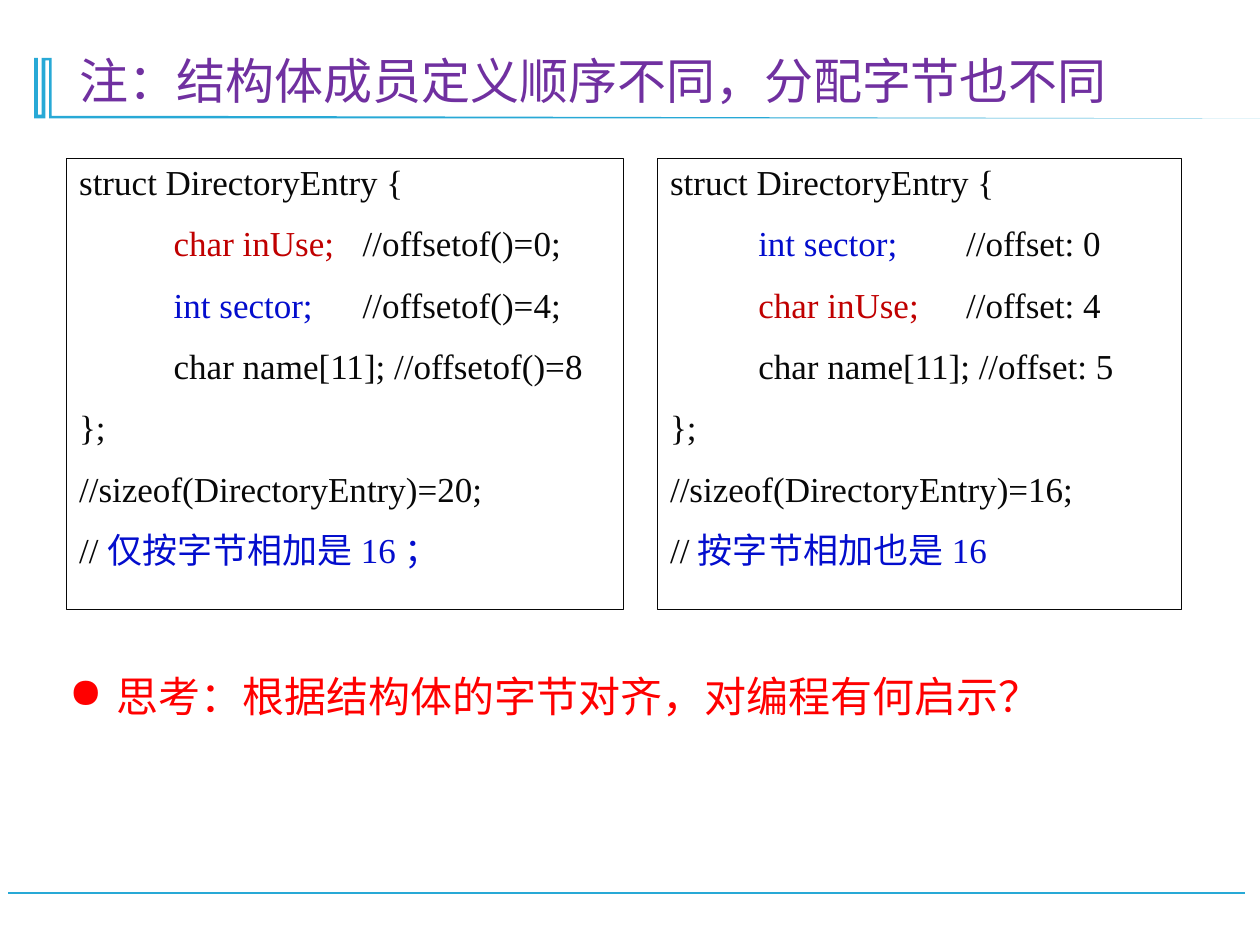
from lxml import etree
from pptx import Presentation
from pptx.dml.color import RGBColor
from pptx.enum.shapes import MSO_CONNECTOR, MSO_SHAPE
from pptx.enum.text import MSO_ANCHOR, PP_ALIGN
from pptx.oxml.ns import qn
from pptx.util import Inches, Pt

CYAN = RGBColor(0x28, 0xA9, 0xD6)
PURPLE = RGBColor(0x70, 0x30, 0xA0)
INK = RGBColor(0x08, 0x08, 0x08)
BLUE = RGBColor(0x03, 0x0D, 0xCD)
CRIMSON = RGBColor(0xC0, 0x00, 0x00)
RED = RGBColor(0xFF, 0x00, 0x00)
FONT = "Times New Roman"

# Each code line is a list of (text, colour) runs.
STRUCT_CHAR_FIRST = [
    [("struct DirectoryEntry {", INK)],
    [("\tchar inUse;", CRIMSON), ("\t//offsetof()=0;", INK)],
    [("\tint sector;", BLUE), ("\t//offsetof()=4;", INK)],
    [("\tchar name[11]; //offsetof()=8", INK)],
    [("};", INK)],
    [("//sizeof(DirectoryEntry)=20;", INK)],
    [("//", INK), ("仅按字节相加是16；", BLUE)],
]
STRUCT_INT_FIRST = [
    [("struct DirectoryEntry {", INK)],
    [("\tint sector;", BLUE), ("\t//offset: 0", INK)],
    [("\tchar inUse;", CRIMSON), ("\t//offset: 4", INK)],
    [("\tchar name[11]; //offset: 5", INK)],
    [("};", INK)],
    [("//sizeof(DirectoryEntry)=16;", INK)],
    [("//", INK), ("按字节相加也是16", BLUE)],
]


def add_run(paragraph, text, size, color):
    run = paragraph.add_run()
    run.text = text
    run.font.name = FONT
    run.font.size = Pt(size)
    run.font.color.rgb = color


def add_tab_stops(paragraph, stops):
    tab_list = etree.SubElement(paragraph._p.get_or_add_pPr(), qn("a:tabLst"))
    for stop in stops:
        etree.SubElement(tab_list, qn("a:tab"), pos=str(Inches(stop)), algn="l")


def add_frame_lines(slide):
    """Draw the title bracket with its tapering underline, and the footer rule."""
    outline = [
        (0.41, 0.46), (0.41, 0.92), (1.4, 0.92), (10.09, 0.94), (0.39, 0.94),
        (0.39, 0.48), (0.36, 0.48), (0.36, 0.94), (0.27, 0.94), (0.27, 0.46),
        (0.3, 0.46), (0.3, 0.91), (0.33, 0.91), (0.33, 0.46),
    ]
    points = [(Inches(x), Inches(y)) for x, y in outline]
    builder = slide.shapes.build_freeform(*points[0])
    builder.add_line_segments(points[1:], close=True)
    bracket = builder.convert_to_shape()
    bracket.shadow.inherit = False
    bracket.fill.solid()
    bracket.fill.fore_color.rgb = CYAN
    bracket.line.fill.background()

    footer_rule = slide.shapes.add_connector(
        MSO_CONNECTOR.STRAIGHT, Inches(9.88), Inches(7.09), Inches(0.06), Inches(7.09))
    footer_rule.line.color.rgb = CYAN
    footer_rule.line.width = Pt(1.25)
    etree.SubElement(footer_rule._element.spPr, qn("a:effectLst"))


def add_title(slide, left, top, width, height):
    frame = slide.shapes.add_textbox(left, top, width, height).text_frame
    frame.word_wrap = True
    frame.vertical_anchor = MSO_ANCHOR.BOTTOM
    heading = frame.paragraphs[0]
    heading.line_spacing = 0.9
    add_run(heading, "注：结构体成员定义顺序不同，分配字节也不同", 28, PURPLE)


def add_code_panel(slide, left, top, width, height, lines, tab_stops):
    panel = slide.shapes.add_shape(MSO_SHAPE.RECTANGLE, left, top, width, height)
    panel.shadow.inherit = False
    panel.fill.background()
    panel.line.color.rgb = INK
    panel.line.width = Pt(0.75)
    frame = panel.text_frame
    frame.word_wrap = True
    frame.vertical_anchor = MSO_ANCHOR.TOP
    for index, runs in enumerate(lines):
        code_line = frame.add_paragraph() if index else frame.paragraphs[0]
        add_tab_stops(code_line, tab_stops)
        code_line.alignment = PP_ALIGN.LEFT
        code_line.line_spacing = 0.9
        if index:
            code_line.space_before = Pt(13.5)
        for text, color in runs:
            add_run(code_line, text, 20, color)


def add_question(slide, left, top, width, height):
    frame = slide.shapes.add_textbox(left, top, width, height).text_frame
    frame.word_wrap = True
    question = frame.paragraphs[0]
    properties = question._p.get_or_add_pPr()
    properties.set("marL", str(Inches(0.38)))
    properties.set("indent", str(-Inches(0.38)))
    etree.SubElement(properties, qn("a:buChar"), char="●")
    question.line_spacing = 1.2
    add_run(question, "思考：根据结构体的字节对齐，对编程有何启示？", 24, RED)


def main():
    deck = Presentation()
    deck.slide_width, deck.slide_height = Inches(10), Inches(7.5)
    slide = deck.slides.add_slide(deck.slide_layouts[6])
    add_frame_lines(slide)
    add_title(slide, Inches(0.53), Inches(0.28), Inches(8.85), Inches(0.64))
    panel_top, panel_height = Inches(1.26), Inches(3.58)
    add_code_panel(slide, Inches(5.22), panel_top, Inches(4.16), panel_height,
                   STRUCT_INT_FIRST, (0.7, 2.35))
    add_code_panel(slide, Inches(0.53), panel_top, Inches(4.42), panel_height,
                   STRUCT_CHAR_FIRST, (0.75, 2.25))
    add_question(slide, Inches(0.45), Inches(5.19), Inches(8.73), Inches(0.54))
    deck.save("out.pptx")


if __name__ == "__main__":
    main()
